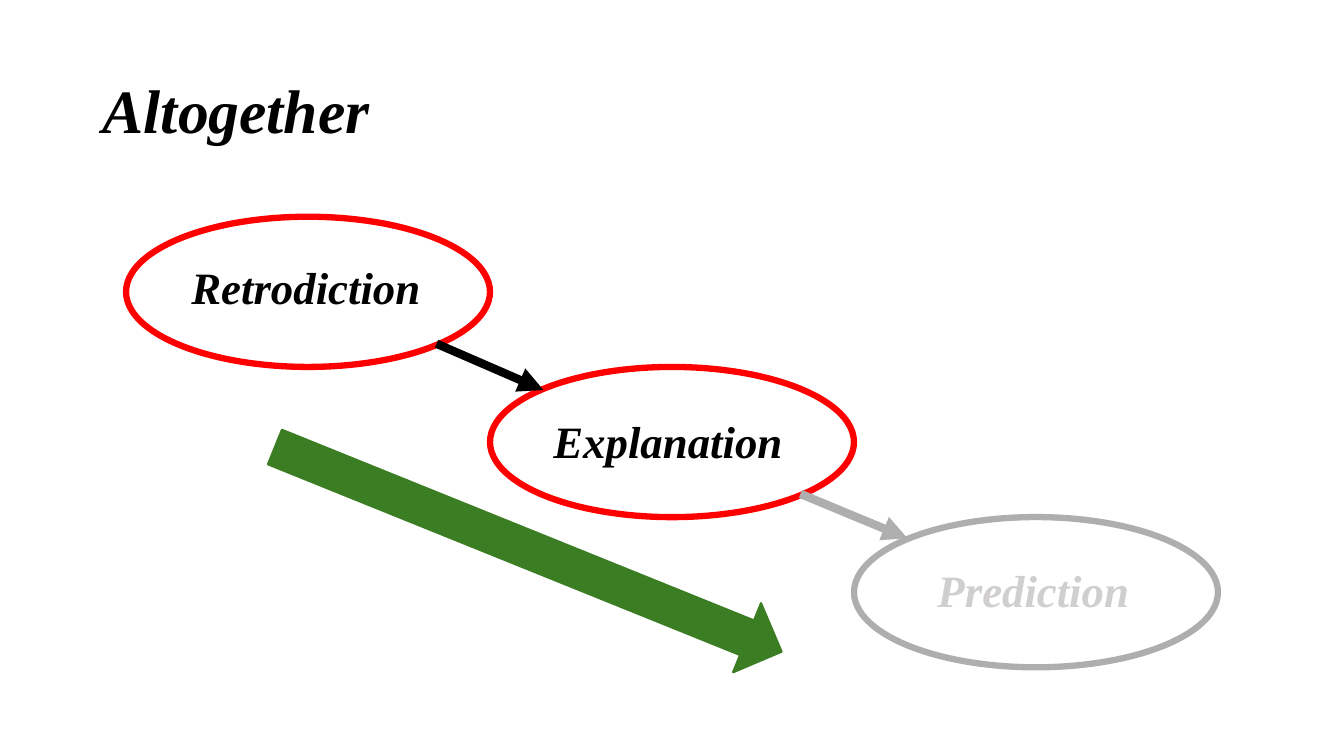
"""Build the slide on retrodiction, explanation and prediction."""
from dataclasses import dataclass
from lxml import etree
from pptx import Presentation, util as u
from pptx.dml.color import RGBColor as Rgb
from pptx.enum import shapes as sh, text as tx
from pptx.oxml import ns


@dataclass(frozen=True)
class Theme:
    """Colours, font and sizes of the slide."""
    ink: str = "000000"
    red: str = "FF0000"
    grey: str = "AEAEAE"
    pale: str = "D0CECE"
    green: str = "3B7D23"
    face: str = "Times New Roman"
    head: int = 44
    body: int = 32
    ring: float = 4.5
    link: float = 6
    edge: float = 1.5


T = Theme()
WIDE, HIGH = 3.61, 1.49
LEFT, TOP = 1.25, 2.15
STAGES = [
    ("Retrodiction", T.red, T.ink, (1.8, 2.53, 2.63, 0.64)),
    ("Explanation", T.red, T.ink, (5.39, 4.06, 2.55, 0.64)),
    ("Prediction", T.grey, T.pale, (9.2, 5.53, 2.17, 0.66)),
]
LINKS = [(T.ink, (4.33, 3.41, 5.39, 3.87)), (T.grey, (7.94, 4.9, 9, 5.34))]


def inch(vals):
    """Turn numbers into lengths."""
    return [u.Inches(v) for v in vals]


def put(obj, vals):
    """Set attributes from a dict."""
    for key, val in vals.items():
        setattr(obj, key, val)


def write(frame, words, size, hue):
    """Fill a frame with one styled line."""
    para = frame.paragraphs[0]
    para.text = words
    font = para.runs[0].font
    put(font, {"name": T.face, "size": u.Pt(size), "bold": True, "italic": True})
    font.color.rgb = Rgb.from_string(hue)
    return para


def stroke(line, hue, width):
    """Colour and size a line."""
    line.color.rgb = Rgb.from_string(hue)
    line.width = u.Pt(width)


def title(slide, words):
    """Place and fill the title."""
    box = slide.shapes.title
    put(box, dict(zip(("left", "top", "width", "height"), inch((0.92, 0.4, 11.5, 1.45)))))
    para = write(box.text_frame, words, T.head, T.ink)
    box.text_frame.vertical_anchor = tx.MSO_ANCHOR.MIDDLE
    put(para, {"alignment": tx.PP_ALIGN.LEFT, "line_spacing": 0.9})


def stage(slide, step, words, rim, ink, area):
    """Draw one ellipse with its label in a group."""
    group = slide.shapes.add_group_shape()
    spot = inch((LEFT + step * WIDE, TOP + step * HIGH, WIDE, HIGH))
    oval = group.shapes.add_shape(sh.MSO_SHAPE.OVAL, *spot)
    oval.shadow.inherit = False
    oval.fill.background()
    stroke(oval.line, rim, T.ring)
    frame = group.shapes.add_textbox(*inch(area)).text_frame
    put(frame, {"word_wrap": True, "auto_size": tx.MSO_AUTO_SIZE.SHAPE_TO_FIT_TEXT})
    write(frame, words, T.body, ink)


def link(slide, hue, ends):
    """Draw a line with an arrowhead."""
    line = slide.shapes.add_connector(sh.MSO_CONNECTOR.STRAIGHT, *inch(ends))
    stroke(line.line, hue, T.link)
    tail = etree.SubElement(line.line._get_or_add_ln(), ns.qn("a:tailEnd"))
    tail.set("type", "triangle")
    etree.SubElement(line._element.spPr, ns.qn("a:effectLst"))


def arrow(slide, hue, area, turn):
    """Draw a turned block arrow."""
    block = slide.shapes.add_shape(sh.MSO_SHAPE.DOWN_ARROW, *inch(area))
    block.shadow.inherit = False
    block.rotation = turn
    block.fill.solid()
    block.fill.fore_color.rgb = Rgb.from_string(hue)
    stroke(block.line, hue, T.edge)


def main():
    """Build and save the slide."""
    deck = Presentation()
    put(deck, {"slide_width": u.Inches(13.33), "slide_height": u.Inches(7.5)})
    slide = deck.slides.add_slide(deck.slide_layouts.get_by_name("Title Only"))
    title(slide, "Altogether")
    for step, item in enumerate(STAGES):
        stage(slide, step, *item)
    for item in LINKS:
        link(slide, *item)
    arrow(slide, T.green, (4.87, 2.74, 0.74, 5.42), 292)
    deck.save("out.pptx")


if __name__ == "__main__":
    main()
